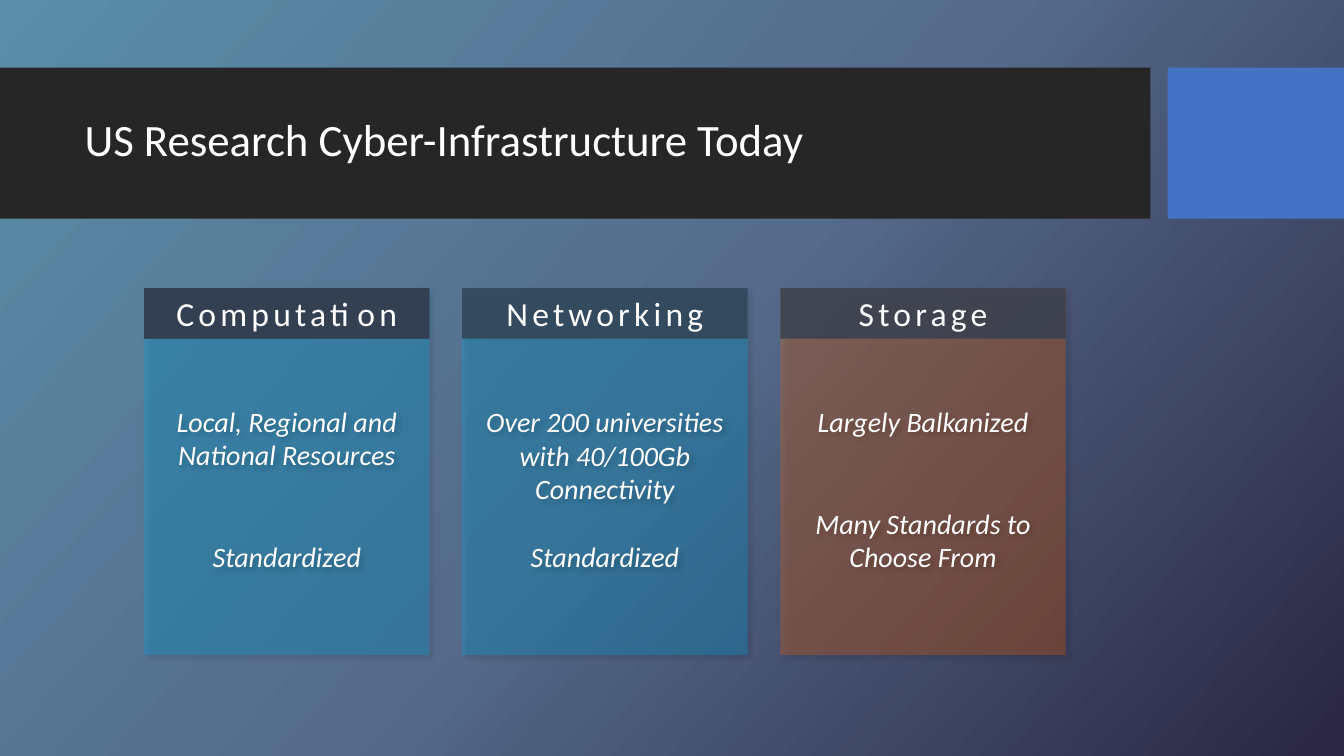
from copy import deepcopy

from lxml.etree import SubElement
from pptx import Presentation
from pptx.dml.color import RGBColor
from pptx.enum.shapes import MSO_SHAPE as Shape
from pptx.enum.text import MSO_ANCHOR as Anchor, PP_ALIGN as Align
from pptx.oxml.ns import qn
from pptx.util import Inches, Pt

CARD_LEFT, CARD_TOP, CARD_STEP = 1.43, 2.86, 3.155
CARD_WIDTH, CARD_HEIGHT, HEADER_HEIGHT = 2.83, 3.64, 0.5
BODY_LINE = 24.4
CARDS = [
    ("Computation", "00B0F0", 2, ["Local, Regional and National Resources", "Standardized"]),
    ("Networking", "00B0F0", 1, ["Over 200 universities with 40/100Gb Connectivity", "Standardized"]),
    ("Storage", "FF6600", 2, ["Largely Balkanized", "Many Standards to Choose From"]),
]


def colour(value):
    return RGBColor.from_string(value)


def paint_background(page):
    fill = page.background.fill
    fill.gradient()
    fill.gradient_angle = 360 - 42
    stop_list = page.element.find(".//" + qn("a:gsLst"))
    stop_list.append(deepcopy(stop_list[-1]))
    stops = [(0, "5A8EA7"), (0.5, "556B8B"), (1, "2B2642")]
    for stop, (position, value) in zip(fill.gradient_stops, stops):
        stop.position = position
        stop.color.rgb = colour(value)


def add_block(page, left, top, width, height, fill, opacity=100):
    block = page.shapes.add_shape(
        Shape.RECTANGLE, Inches(left), Inches(top), Inches(width), Inches(height))
    block.shadow.inherit = False
    block.fill.solid()
    block.fill.fore_color.rgb = colour(fill)
    block.line.fill.background()
    if opacity < 100:
        paint = block.fill._xPr.find(".//" + qn("a:srgbClr"))
        SubElement(paint, qn("a:alpha"), val=str(opacity * 1000))
    return block


def add_shadow(block):
    effects = block.element.spPr.find(qn("a:effectLst"))
    shadow = SubElement(effects, qn("a:outerShdw"), blurRad=str(Pt(4)), dist=str(Pt(3)),
                        dir=str(45 * 60000), algn="tl", rotWithShape="0")
    tint = SubElement(shadow, qn("a:srgbClr"), val="000000")
    SubElement(tint, qn("a:alpha"), val="40000")


def write(box, lines, size, align, italic=False, gap=0, spacing=0):
    frame = box.text_frame
    frame.word_wrap = True
    frame.vertical_anchor = Anchor.MIDDLE
    frame.text = "\n".join(lines)
    for index, para in enumerate(frame.paragraphs):
        para.alignment = align
        if index:
            para.space_before = Pt(gap)
        for span in para.runs:
            span.font.name = "Calibri"
            span.font.size = Pt(size)
            span.font.italic = italic
            span.font.color.rgb = colour("FFFFFF")
            if spacing:
                span.font._element.set("spc", str(spacing * 100))


def add_title(page, text):
    box = page.shapes.add_textbox(Inches(0.74), Inches(0.82), Inches(10.51), Inches(1.18))
    write(box, [text], 32, Align.LEFT)
    box.text_frame.paragraphs[0].line_spacing = 0.9


def add_card(page, left, fill, gap_lines, lines):
    card = add_block(page, left, CARD_TOP, CARD_WIDTH, CARD_HEIGHT, fill, 27)
    add_shadow(card)
    write(card, lines, 20, Align.CENTER, italic=True, gap=gap_lines * BODY_LINE)
    card.text_frame.margin_top = Inches(0.05) + Pt(BODY_LINE)


def add_header(page, left, text):
    header = add_block(page, left, CARD_TOP, CARD_WIDTH, HEADER_HEIGHT, "333F50", 80)
    write(header, [text], 24, Align.CENTER, spacing=3)


def main():
    deck = Presentation()
    deck.slide_width, deck.slide_height = Inches(13.33), Inches(7.5)
    page = deck.slides.add_slide(deck.slide_layouts[6])
    paint_background(page)
    add_block(page, 0, 0.67, 11.41, 1.5, "262626")
    add_block(page, 11.58, 0.67, 1.75, 1.5, "4472C4")
    add_title(page, "US Research Cyber-Infrastructure Today")

    lefts = [CARD_LEFT + index * CARD_STEP for index in range(len(CARDS))]
    for left, (_, fill, gap_lines, lines) in zip(lefts, CARDS):
        add_card(page, left, fill, gap_lines, lines)
    add_block(page, CARD_LEFT, CARD_TOP, CARD_WIDTH, HEADER_HEIGHT, "333F50", 87)
    for left, (heading, *_) in zip(lefts, CARDS):
        add_header(page, left, heading)
    deck.save("out.pptx")


if __name__ == "__main__":
    main()
